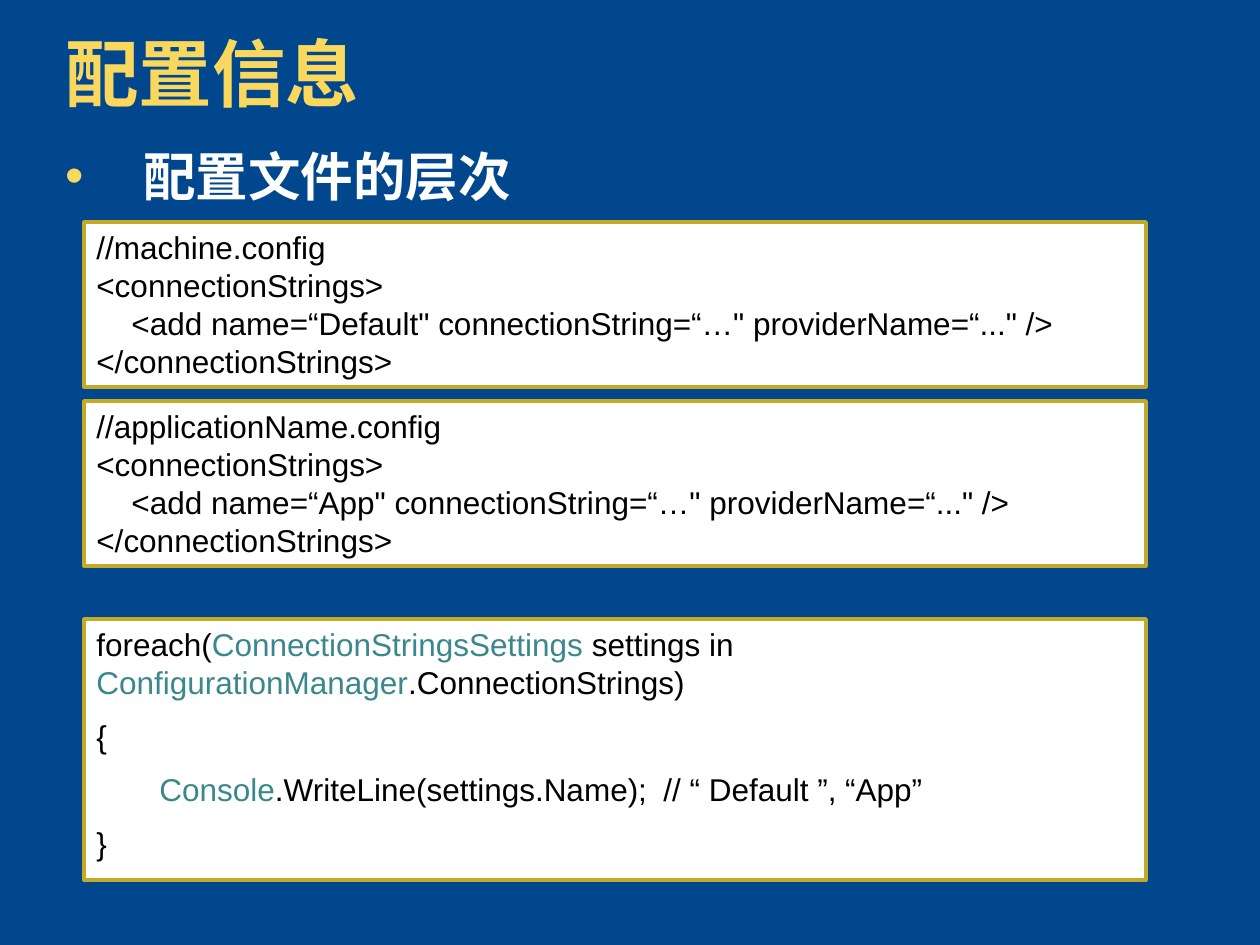
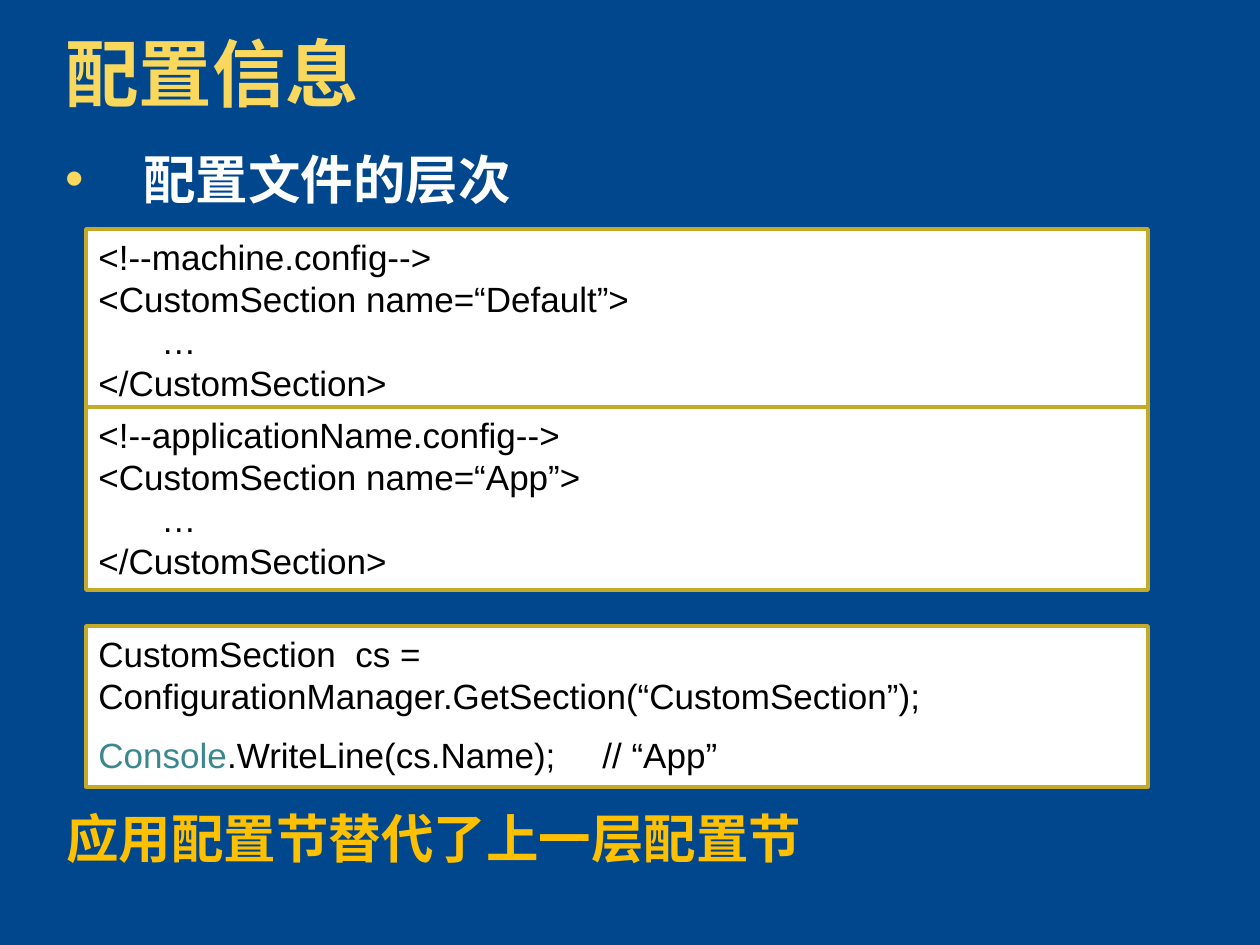
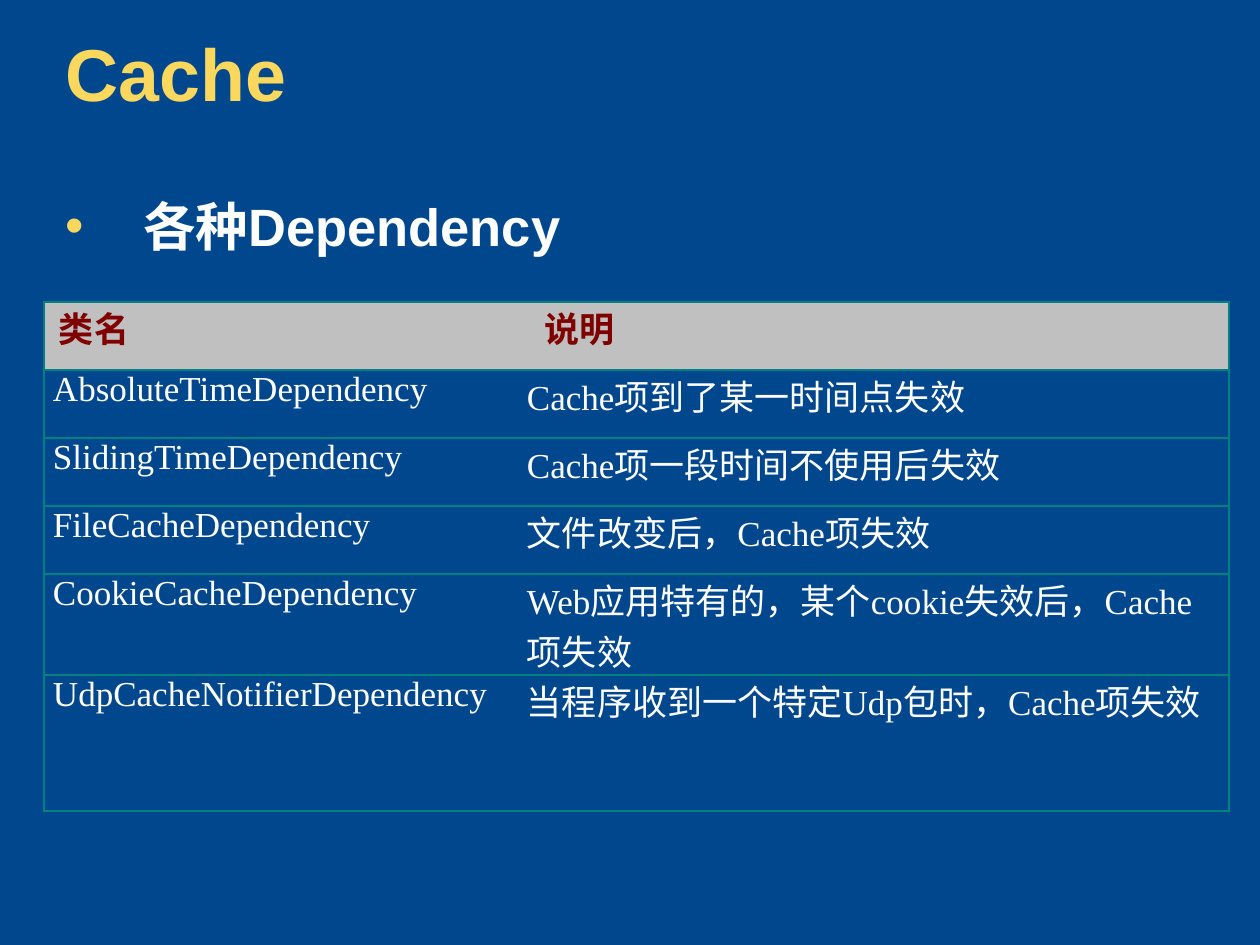
from lxml import etree
from pptx import Presentation
from pptx.dml.color import RGBColor
from pptx.enum.shapes import MSO_SHAPE
from pptx.enum.text import MSO_ANCHOR, PP_ALIGN
from pptx.oxml.ns import qn
from pptx.util import Emu, Pt

RECT = MSO_SHAPE.RECTANGLE
TOP, MIDDLE = MSO_ANCHOR.TOP, MSO_ANCHOR.MIDDLE
LEFT, JUSTIFY = PP_ALIGN.LEFT, PP_ALIGN.JUSTIFY

COLOR = {
    "back": "00478E", "title": "F9D85D", "white": "FFFFFF", "black": "000000",
    "frame": "C4AA28", "type": "3A888E", "note": "FFC000",
    "grid": "008080", "head": "C0C0C0", "label": "800000",
}

# Words between asterisks are type names. A code line is text or (text, indent).
# A code box is (top, height, gap between its paragraphs, lines).
CODE = [
    {
        "title": "配置信息", "point": "配置文件的层次", "at": 145,
        "left": 84, "size": 18,
        "boxes": [
            (222, 165, False, [
                "//machine.config",
                "<connectionStrings>",
                ("<add name=“Default\" connectionString=“…\" providerName=“...\" />", 35),
                "</connectionStrings>"]),
            (401, 165, False, [
                "//applicationName.config",
                "<connectionStrings>",
                ("<add name=“App\" connectionString=“…\" providerName=“...\" />", 35),
                "</connectionStrings>"]),
            (619, 261, True, [
                "foreach(*ConnectionStringsSettings* settings in \t"
                "*ConfigurationManager*.ConnectionStrings)",
                "{",
                "\t*Console*.WriteLine(settings.Name);\t// “ Default ”, “App”",
                "}"]),
        ],
    },
    {
        "title": "配置信息", "point": "配置文件的层次", "at": 148,
        "left": 86, "size": 20, "note": "应用配置节替代了上一层配置节",
        "boxes": [
            (229, 183, False, [
                "<!--machine.config-->",
                "<CustomSection name=“Default”>",
                "\t…",
                "</CustomSection>"]),
            (407, 183, False, [
                "<!--applicationName.config-->",
                "<CustomSection name=“App”>",
                "\t…",
                "</CustomSection>"]),
            (626, 161, True, [
                "CustomSection  cs = ConfigurationManager.GetSection(“CustomSection”);",
                "*Console*.WriteLine(cs.Name);\t// “App”"]),
        ],
    },
]
CACHE = {
    "title": "Cache", "point": "各种Dependency", "at": 195,
    "rows": [
        ("类名", "说明"),
        ("AbsoluteTimeDependency", "Cache项到了某一时间点失效"),
        ("SlidingTimeDependency", "Cache项一段时间不使用后失效"),
        ("FileCacheDependency", "文件改变后，Cache项失效"),
        ("CookieCacheDependency", "Web应用特有的，某个cookie失效后，Cache项失效"),
        ("UdpCacheNotifierDependency", "当程序收到一个特定Udp包时，Cache项失效"),
    ],
}
WIDTHS = [474, 711]
HEIGHTS = [68, 68, 68, 68, 101, 136]
HEAD_INDENT = [6, 18]
TABS = range(126, 1000, 126)


def px(n):
    return Emu(round(n * 914400 / 126))


def rgb(name):
    return RGBColor.from_string(COLOR[name])


def write(frame, lines, size, color="black", bold=False, font="Arial", lead=None,
          gap=False, hang=0, bullet=False, align=LEFT, anchor=TOP):
    """Fill a text frame or a cell's frame; lead is line pitch over type size."""
    frame.word_wrap = True
    frame.vertical_anchor = anchor
    for i, line in enumerate(lines):
        words, indent = line if isinstance(line, tuple) else (line, 0)
        para = frame.add_paragraph() if i else frame.paragraphs[0]
        para.alignment = align
        if lead:
            para.line_spacing = Pt(size * lead)
        if gap and i:
            para.space_before = Pt(size / 2)
        props = para._p.get_or_add_pPr()
        props.set("marL", str(px(indent + hang)))
        props.set("indent", str(-px(hang)))
        if bullet:
            tint = etree.SubElement(props, qn("a:buClr"))
            etree.SubElement(tint, qn("a:srgbClr"), val=COLOR["title"])
            etree.SubElement(props, qn("a:buFont"), typeface="Arial")
            etree.SubElement(props, qn("a:buChar"), char="•")
        if "\t" in words:
            stops = etree.SubElement(props, qn("a:tabLst"))
            for stop in TABS:
                etree.SubElement(stops, qn("a:tab"), pos=str(px(stop)), algn="l")
        for k, part in enumerate(words.split("*")):
            if part:
                run = para.add_run()
                run.text = part
                run.font.size, run.font.bold, run.font.name = Pt(size), bold, font
                run.font.color.rgb = rgb("type" if k % 2 else color)


def label(slide, box, text, size, color, **style):
    shape = slide.shapes.add_textbox(*map(px, box))
    write(shape.text_frame, [text], size, color, bold=True, lead=1.08, **style)


def start(deck, data):
    """Add a slide with its title and its bullet point."""
    slide = deck.slides.add_slide(deck.slide_layouts[6])
    label(slide, (53, 30, 1034, 93), data["title"], 42, "title", anchor=MIDDLE)
    label(slide, (53, data["at"] - 1, 1155, 71), data["point"], 30, "white",
          hang=78, bullet=True)
    return slide


def code_slide(deck, data):
    slide = start(deck, data)
    for top, height, gap, lines in data["boxes"]:
        box = slide.shapes.add_shape(RECT, *map(px, (data["left"], top, 1062, height)))
        box.shadow.inherit = False
        box.fill.solid()
        box.fill.fore_color.rgb = rgb("white")
        box.line.color.rgb = rgb("frame")
        box.line.width = Pt(2)
        write(box.text_frame, lines, data["size"], lead=1.2, gap=gap)
    if "note" in data:
        label(slide, (54, 806, 1134, 71), data["note"], 30, "note", hang=78)


def edge(cell, side, width):
    """Draw one border of a cell, or none when the width is 0."""
    props = cell._tc.get_or_add_tcPr()
    line = etree.SubElement(props, qn("a:ln" + side), w=str(Pt(width)))
    if width:
        fill = etree.SubElement(line, qn("a:solidFill"))
        etree.SubElement(fill, qn("a:srgbClr"), val=COLOR["grid"])
    else:
        etree.SubElement(line, qn("a:noFill"))


def table_slide(deck, data):
    slide = start(deck, data)
    rows = data["rows"]
    last = len(rows) - 1
    box = (44, 302, sum(WIDTHS), sum(HEIGHTS))
    table = slide.shapes.add_table(len(rows), len(WIDTHS), *map(px, box)).table
    table.first_row = table.horz_banding = False
    for col, width in zip(table.columns, WIDTHS):
        col.width = px(width)
    for r, texts in enumerate(rows):
        table.rows[r].height = px(HEIGHTS[r])
        for c, text in enumerate(texts):
            cell = table.cell(r, c)
            cell.margin_left = cell.margin_right = px(9)
            cell.margin_top = cell.margin_bottom = 0
            edge(cell, "L", 0 if c else 1)
            edge(cell, "R", 1 if c else 0)
            edge(cell, "T", 1 if r else 1.5)
            edge(cell, "B", 1.5 if r == last else 1)
            if r:
                cell.fill.background()
            else:
                cell.fill.solid()
                cell.fill.fore_color.rgb = rgb("head")
            write(cell.text_frame, [(text, 0 if r else HEAD_INDENT[c])], 20,
                  "white" if r else "label", bold=not r, font="Times New Roman",
                  align=LEFT if c else JUSTIFY)


def main():
    deck = Presentation()
    deck.slide_width, deck.slide_height = px(1260), px(945)
    back = deck.slide_master.background.fill
    back.solid()
    back.fore_color.rgb = rgb("back")
    for data in CODE:
        code_slide(deck, data)
    table_slide(deck, CACHE)
    deck.save("out.pptx")


if __name__ == "__main__":
    main()
